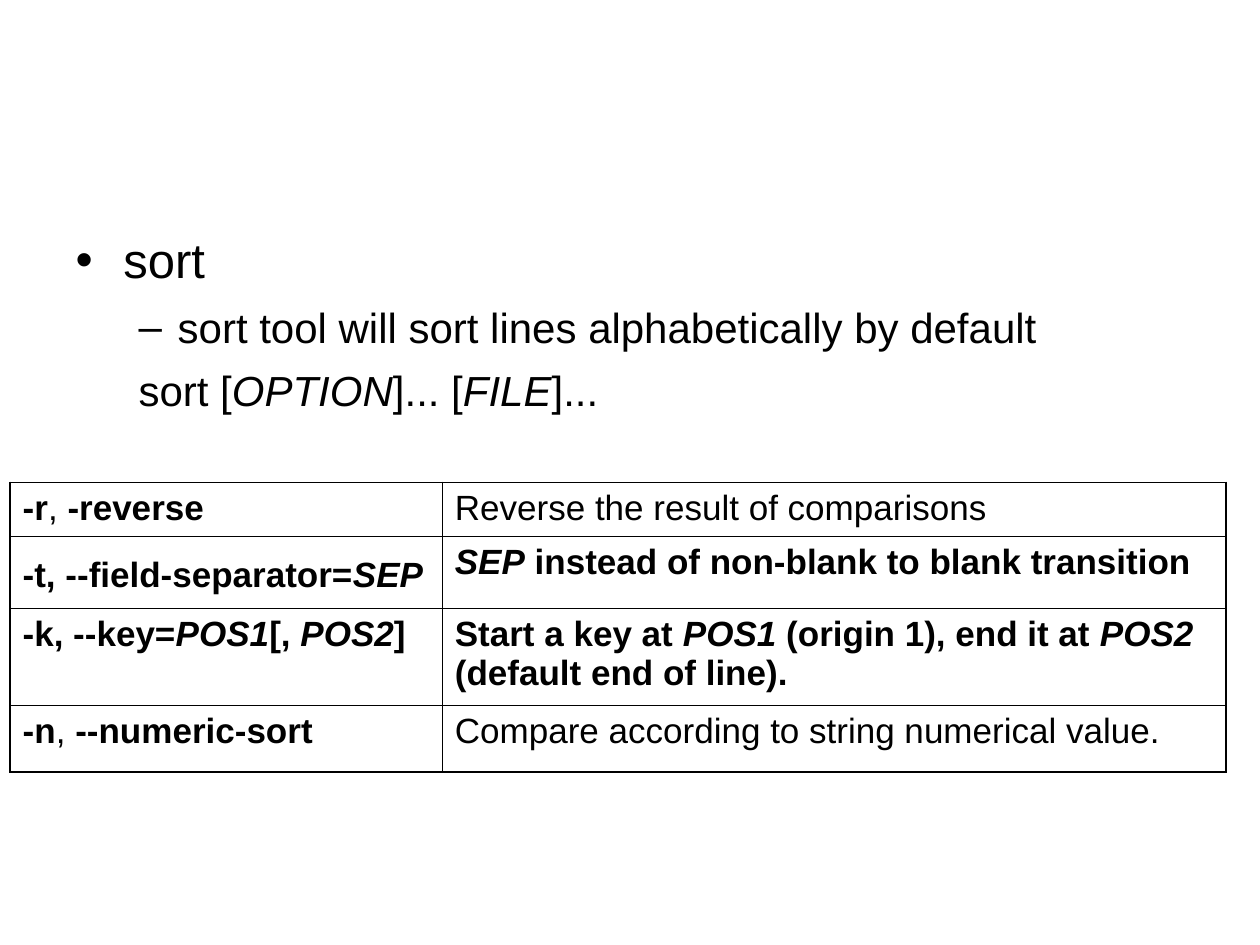
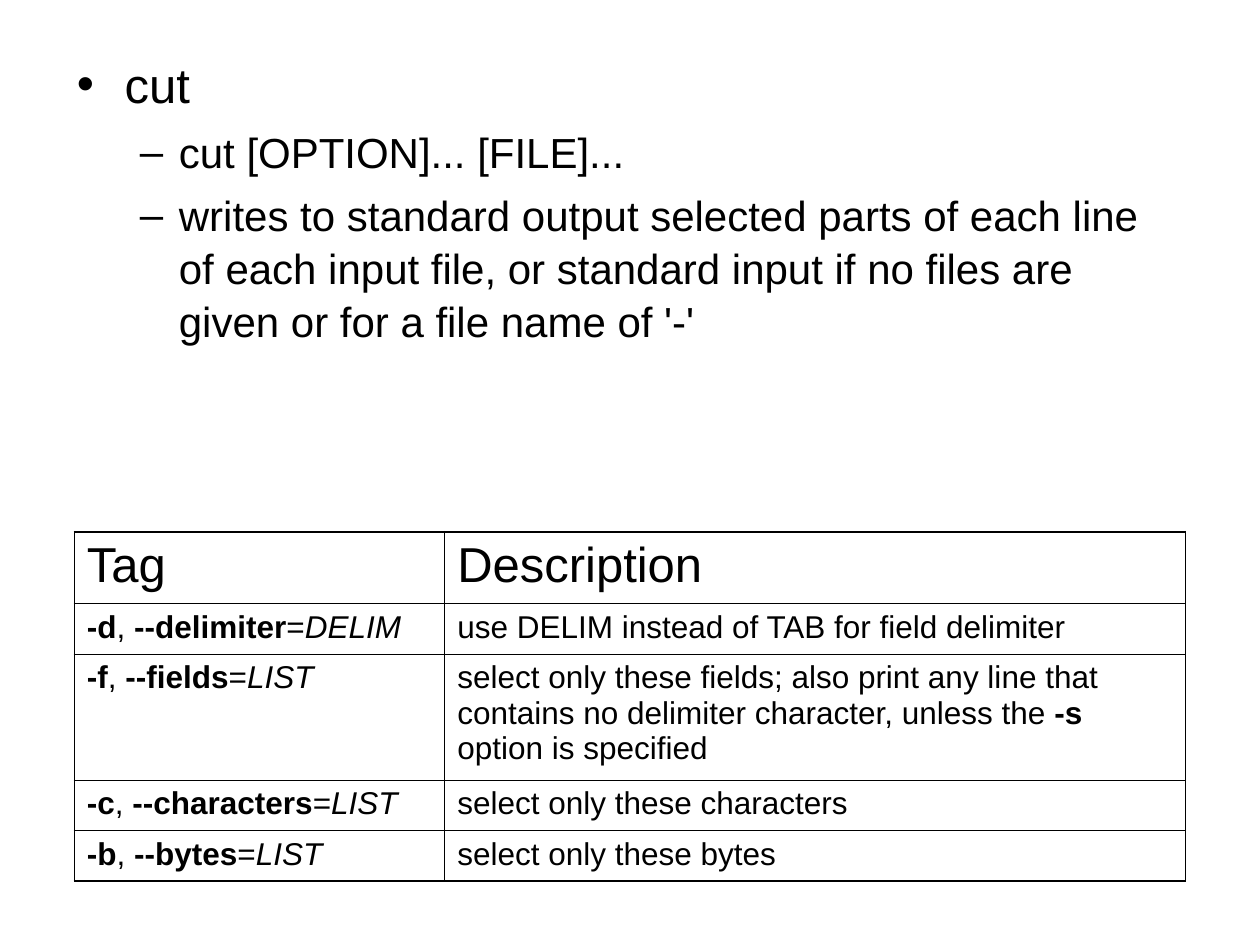
from lxml import etree
from pptx import Presentation
from pptx import util as u
from pptx.dml.color import RGBColor
from pptx.enum import text
from pptx.oxml import ns

COLOURS = {"ink": "000000", "paper": "FFFFFF"}
FONT = "Arial"
OUTER, INNER = 1.08, 0.45
LEVELS = [
    {"size": 28, "left": 0.38, "hang": -0.38, "before": 7},
    {"size": 24, "left": 0.81, "hang": -0.31, "before": 6},
]


def bold(words):
    return words, True, False


def italic(words):
    return words, False, True


def bold_italic(words):
    return words, True, True


def option(short, long, value=None):
    runs = [bold(short), ", ", bold(long)]
    return runs + ["=", italic(value)] if value else runs


class Deck:
    def __init__(self):
        self.prs = Presentation()
        self.prs.slide_width = u.Inches(10)
        self.prs.slide_height = u.Inches(7.5)
        self.slide = None

    def new_slide(self):
        self.slide = self.prs.slides.add_slide(self.prs.slide_layouts[1])
        fill = self.slide.background.fill
        fill.solid()
        fill.fore_color.rgb = RGBColor.from_string(COLOURS["paper"])
        title = self.slide.shapes.title.element
        title.getparent().remove(title)

    def add_runs(self, paragraph, runs, size):
        for part in runs:
            words, is_bold, is_italic = (part, False, False) if isinstance(part, str) else part
            run = paragraph.add_run()
            run.text = words
            font = run.font
            font.name, font.size = FONT, u.Pt(size)
            font.bold, font.italic = is_bold, is_italic
            font.color.rgb = RGBColor.from_string(COLOURS["ink"])

    def bullet(self, paragraph, level, mark):
        props = paragraph._p.get_or_add_pPr()
        props.set("marL", str(u.Inches(level["left"])))
        props.set("indent", str(u.Inches(level["hang"])))
        if mark:
            etree.SubElement(props, ns.qn("a:buFont")).set("typeface", FONT)
            etree.SubElement(props, ns.qn("a:buChar")).set("char", mark)
        else:
            etree.SubElement(props, ns.qn("a:buNone"))

    def body(self, left, top, width, height, items):
        holder = self.slide.placeholders[1]
        holder.left, holder.top = u.Inches(left), u.Inches(top)
        holder.width, holder.height = u.Inches(width), u.Inches(height)
        frame = holder.text_frame
        frame.word_wrap = True
        frame.auto_size = text.MSO_AUTO_SIZE.NONE
        frame.vertical_anchor = text.MSO_ANCHOR.TOP
        for index, (depth, mark, runs) in enumerate(items):
            paragraph = frame.add_paragraph() if index else frame.paragraphs[0]
            level = LEVELS[depth]
            paragraph.level = depth
            self.bullet(paragraph, level, mark)
            paragraph.line_spacing = 1.05
            paragraph.space_before = u.Pt(level["before"] if index else 0)
            self.add_runs(paragraph, runs, level["size"])

    def border(self, cell, sides):
        props = cell._tc.get_or_add_tcPr()
        for side, is_outer in sides.items():
            line = etree.SubElement(props, ns.qn(f"a:ln{side}"))
            line.set("w", str(u.Pt(OUTER if is_outer else INNER)))
            fill = etree.SubElement(line, ns.qn("a:solidFill"))
            etree.SubElement(fill, ns.qn("a:srgbClr")).set("val", COLOURS["ink"])

    def table(self, left, top, widths, heights, rows, size, header_size=None):
        grid = self.slide.shapes.add_table(
            len(rows), len(widths), u.Inches(left), u.Inches(top),
            u.Inches(sum(widths)), u.Inches(sum(heights))).table
        grid.first_row = header_size is not None
        grid.horz_banding = False
        for column, width in zip(grid.columns, widths):
            column.width = u.Inches(width)
        for r, (row, height) in enumerate(zip(rows, heights)):
            grid.rows[r].height = u.Inches(height)
            for c, runs in enumerate(row):
                cell = grid.cell(r, c)
                self.border(cell, {"L": c == 0, "R": c == len(widths) - 1,
                                   "T": r == 0, "B": r == len(rows) - 1})
                cell.fill.background()
                is_header = header_size and r == 0
                self.add_runs(cell.text_frame.paragraphs[0], runs,
                              header_size if is_header else size)
        return grid


def sort_slide(deck):
    deck.new_slide()
    deck.body(0.5, 1.75, 9.15, 1.76, [
        (0, "•", ["sort"]),
        (1, "–", ["sort tool will sort lines alphabetically by default"]),
        (1, None, ["sort [", italic("OPTION"), "]... [", italic("FILE"), "]..."]),
    ])
    options = deck.table(0.08, 3.83, [3.43, 6.22], [0.43, 0.57, 0.77, 0.53], [
        [option("-r", "-reverse"), ["Reverse the result of comparisons"]],
        [[bold("-t, --field-separator="), bold_italic("SEP")],
         [bold_italic("SEP"), bold(" instead of non-blank to blank transition")]],
        [[bold("-k, --key="), bold_italic("POS1"), bold("[, "), bold_italic("POS2"), bold("]")],
         [bold("Start a key at "), bold_italic("POS1"), bold(" (origin 1), end it at "),
          bold_italic("POS2"), bold(" (default end of line).")]],
        [option("-n", "--numeric-sort"), ["Compare according to string numerical value."]],
    ], 20)
    options.cell(1, 0).margin_top = u.Inches(0.15)


def cut_slide(deck):
    deck.new_slide()
    deck.body(0.51, 0.36, 8.75, 2.6, [
        (0, "•", ["cut"]),
        (1, "–", ["cut [OPTION]... [FILE]..."]),
        (1, "–", ["writes to standard output selected parts of each line of each input file, "
                  "or standard input if no files are given or for a file name of '-'"]),
    ])
    deck.table(0.59, 4.22, [2.94, 5.88], [0.57, 0.4, 1, 0.4, 0.4], [
        [["Tag"], ["Description"]],
        [option("-d", "--delimiter", "DELIM"), ["use DELIM instead of TAB for field delimiter"]],
        [option("-f", "--fields", "LIST"),
         ["select only these fields; also print any line that contains no delimiter character, "
          "unless the ", bold("-s"), " option is specified"]],
        [option("-c", "--characters", "LIST"), ["select only these characters"]],
        [option("-b", "--bytes", "LIST"), ["select only these bytes"]],
    ], 18, header_size=28)


def main():
    deck = Deck()
    sort_slide(deck)
    cut_slide(deck)
    deck.prs.save("out.pptx")


if __name__ == "__main__":
    main()
